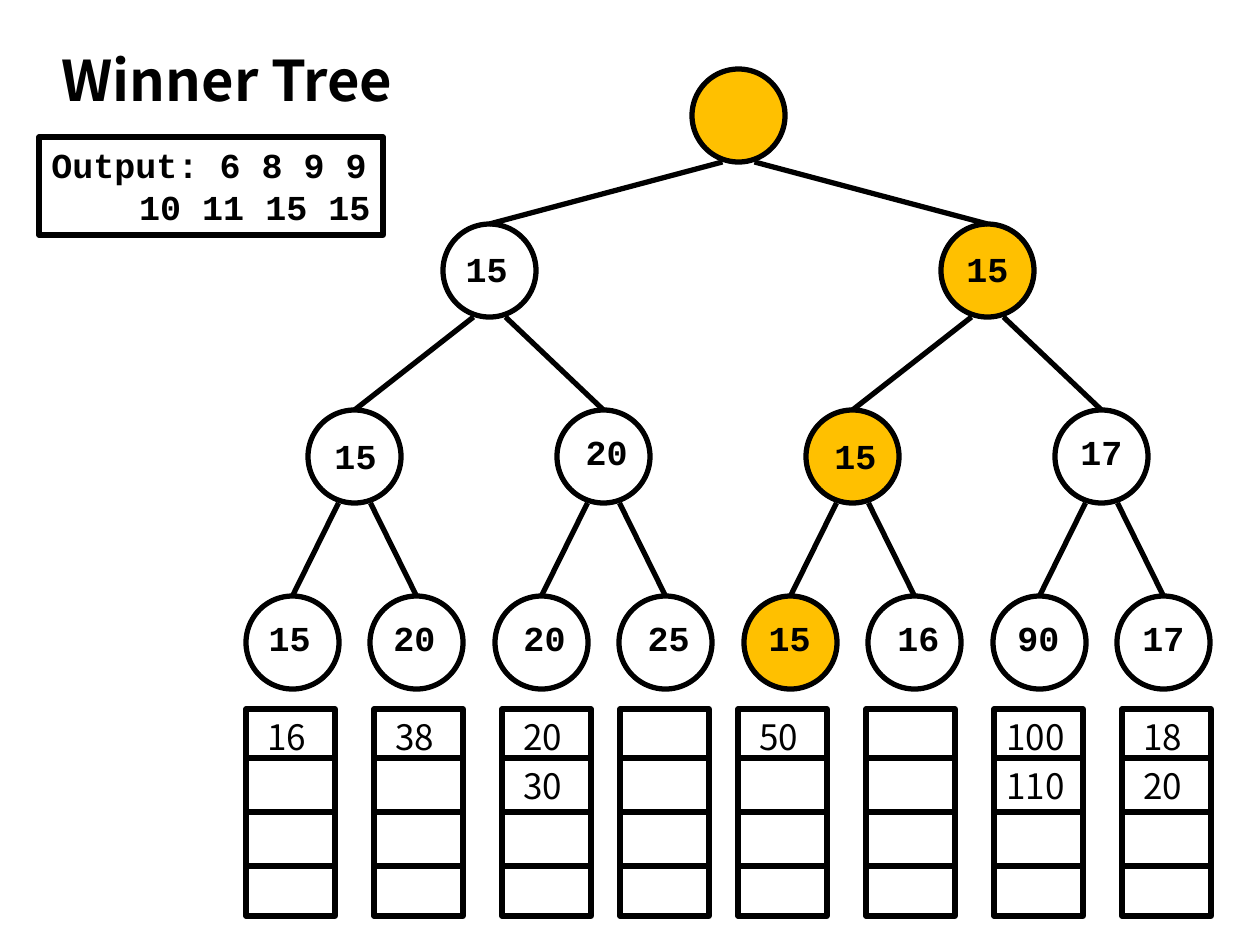
from lxml.etree import SubElement
from pptx import Presentation
from pptx.dml.color import RGBColor
from pptx.enum.shapes import MSO_CONNECTOR, MSO_SHAPE
from pptx.enum.text import MSO_ANCHOR, PP_ALIGN
from pptx.oxml.ns import qn
from pptx.util import Emu, Pt

SCALE = 914400 / 126
INK, GOLD = "000000", "FFC000"
CODE = {"name": "Courier New", "size": Pt(20), "bold": True}
PLAIN = {"name": "Noto Sans CJK KR", "size": Pt(20), "bold": False}
HEAD = {"name": "Noto Sans CJK KR", "size": Pt(32), "bold": True}
LEFT, MID, RIGHT = PP_ALIGN.LEFT, PP_ALIGN.CENTER, PP_ALIGN.RIGHT

SIZE, FORK = 93, 16
TOPS = [69, 224, 410, 596]
TREE = [
    [("", 0, 0, True)],
    [("15", -3, 17, False), ("15", 0, 17, True)],
    [("15", 1, 18, False), ("20", 3, 14, False),
     ("15", 3, 18, True), ("17", 0, 14, False)],
    [("15", -3, 14, False), ("20", -2, 14, False),
     ("20", 3, 14, False), ("25", 3, 14, False),
     ("15", -1, 14, True), ("16", 4, 14, False),
     ("90", -1, 14, False), ("17", 0, 14, False)],
]
STACKS = [(246, ["16"]), (374, ["38"]), (502, ["20", "30"]), (620, []),
          (738, ["50"]), (866, []), (994, ["100", "110"]),
          (1122, ["18", "20"])]
CELL_TOP, CELL_WIDE, STACK_HIGH = 709, 89, 207
RULES = [758, 812, 866]


def px(*values):
    """Turn pixel lengths into EMU."""
    return [Emu(round(value * SCALE)) for value in values]


def color(text):
    """Turn a hex string into a colour."""
    return RGBColor.from_string(text)


class Board:
    """Style and current slide, with a method for each kind of element."""

    def __init__(self, deck):
        """Add a blank slide to draw on."""
        self.slide = deck.slides.add_slide(deck.slide_layouts[6])
        self.level()

    def level(self):
        """Draw straight on the slide."""
        self.shapes = self.slide.shapes

    def group(self):
        """Draw into a new group."""
        self.shapes = self.slide.shapes.add_group_shape().shapes

    def stroke(self, line):
        """Give a line the common ink and weight."""
        line.color.rgb = color(INK)
        line.width = Pt(3)

    def shape(self, kind, x, y, wide, high, fill=None):
        """Draw an outlined preset shape."""
        item = self.shapes.add_shape(kind, *px(x, y, wide, high))
        item.shadow.inherit = False
        if fill:
            item.fill.solid()
            item.fill.fore_color.rgb = color(fill)
        else:
            item.fill.background()
        self.stroke(item.line)
        return item

    def line(self, *ends):
        """Draw a straight line between two points."""
        item = self.shapes.add_connector(MSO_CONNECTOR.STRAIGHT, *px(*ends))
        self.stroke(item.line)
        SubElement(item._element.spPr, qn("a:effectLst"))

    def letter(self, item, rows, style, wrap=True):
        """Put aligned rows of text into a shape."""
        frame = item.text_frame
        frame.word_wrap = wrap
        frame.vertical_anchor = MSO_ANCHOR.TOP
        frame.text = "\n".join(text for text, _ in rows)
        for para, (_, align) in zip(frame.paragraphs, rows):
            para.alignment = align
            para.font.color.rgb = color(INK)
            for key, value in style.items():
                setattr(para.font, key, value)

    def text(self, words, x, y, wide, high, style, align=LEFT):
        """Place a text box."""
        item = self.shapes.add_textbox(*px(x, y, wide, high))
        self.letter(item, [(words, align)], style)

    def node(self, x, y, label, shift, drop, won):
        """Draw one tree node with its label, gold if on the winner's way."""
        self.group()
        self.shape(MSO_SHAPE.OVAL, x, y, SIZE, SIZE, GOLD if won else None)
        if label:
            self.text(label, x + shift, y + drop, SIZE, 55, CODE, MID)

    def stack(self, x, values):
        """Draw one stack of four cells with its values."""
        self.group()
        self.shape(MSO_SHAPE.RECTANGLE, x, CELL_TOP, CELL_WIDE, STACK_HIGH)
        for y in RULES:
            self.line(x, y, x + CELL_WIDE, y)
        for value, y in zip(values, [CELL_TOP, *RULES]):
            wide = 89 if len(value) > 2 else 71
            self.text(value, x + (CELL_WIDE - wide) // 2, y, wide, 55, PLAIN)


def spread():
    """Find the left edges of the nodes, level by level from the root."""
    leaves = [246 + i * 249 // 2 for i in range(8)]
    pairs = [(a + b) // 2 for a, b in zip(leaves[::2], leaves[1::2])]
    halves = [(a + b) // 2 + 11 for a, b in zip(pairs[::2], pairs[1::2])]
    return [[sum(halves) // 2], halves, pairs, leaves]


def main():
    """Build the slide and save it."""
    deck = Presentation()
    deck.slide_width, deck.slide_height = px(1260, 945)
    board = Board(deck)
    lefts = spread()

    for row, y, nodes in zip(lefts, TOPS, TREE):
        for x, node in zip(row, nodes):
            board.node(x, y, *node)

    board.level()
    half = SIZE / 2
    for depth in range(1, len(TOPS)):
        for i, x in enumerate(lefts[depth]):
            side = FORK if i % 2 else -FORK
            board.line(x + half, TOPS[depth],
                       lefts[depth - 1][i // 2] + half + side,
                       TOPS[depth - 1] + SIZE)

    for x, values in STACKS:
        board.stack(x, values)

    board.level()
    board.text("Winner Tree", 49, 39, 423, 81, HEAD)
    frame = board.shape(MSO_SHAPE.RECTANGLE, 39, 137, 344, 98)
    board.letter(frame, [("Output: 6 8 9 9", LEFT), ("10 11 15 15", RIGHT)],
                 CODE, wrap=False)
    deck.save("out.pptx")


if __name__ == "__main__":
    main()
